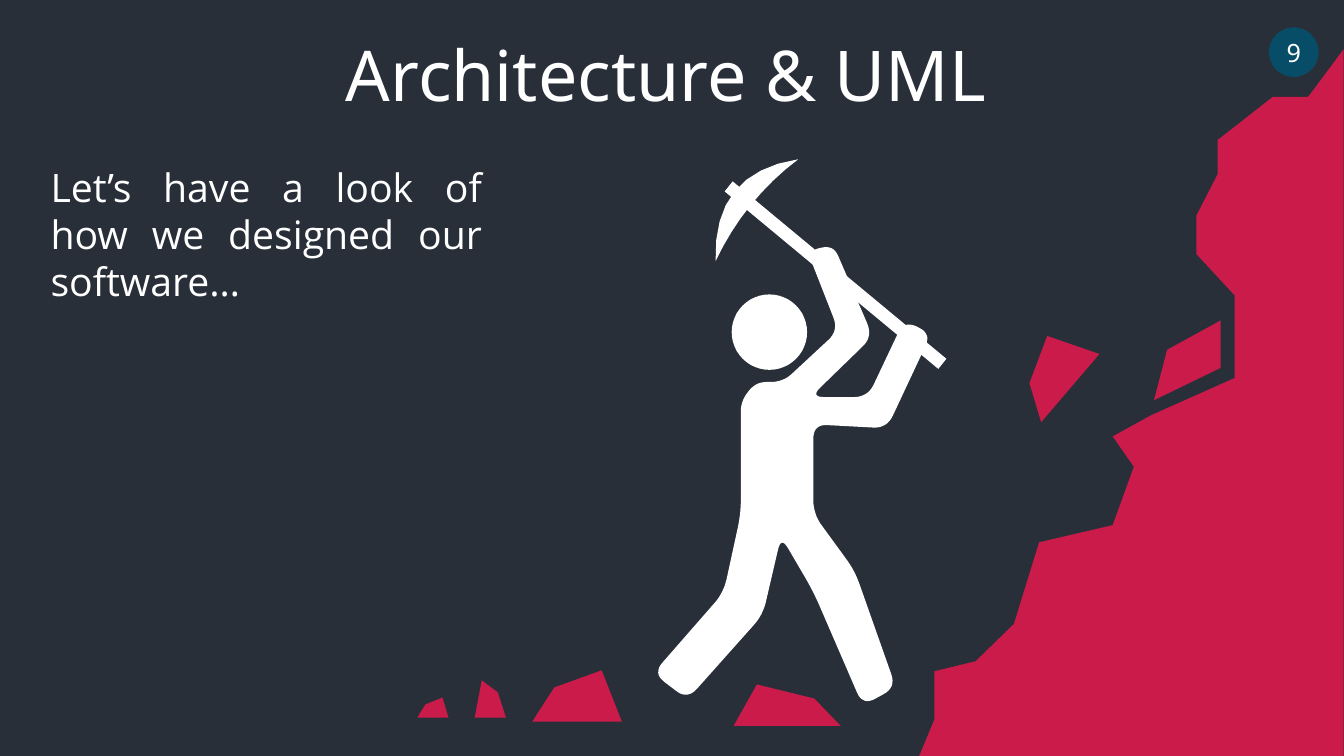
import pptx
import pptx.dml.color
import pptx.enum.shapes
import pptx.enum.text
import pptx.oxml
import pptx.oxml.ns
import pptx.util
import math
from pptx.util import Cm

MIDNIGHT, CRIMSON, TEAL, WHITE = "282F39", "CB1B4A", "074D67", "FFFFFF"


def rgb(color):
    return pptx.dml.color.RGBColor.from_string(color)


def bend(start, control, end, steps=8):
    return [tuple((1 - t) ** 2 * a + 2 * t * (1 - t) * b + t * t * c
                  for a, b, c in zip(start, control, end))
            for t in (step / steps for step in range(steps + 1))]


deck = pptx.Presentation()
deck.slide_width, deck.slide_height = Cm(33.87), Cm(19.05)
slide = deck.slides.add_slide(deck.slide_layouts[1])
slide.background.fill.solid()
slide.background.fill.fore_color.rgb = rgb(MIDNIGHT)

cliff = [(1263, 96), (1208, 139), (1208, 173), (1187, 214), (1187, 252),
         (1225, 293), (1225, 375), (1142, 412), (1104, 433), (1125, 463),
         (1104, 521), (1031, 538), (1006, 619), (968, 656), (927, 666),
         (927, 714), (912, 750), (1333, 750), (1333, 49), (1298, 96)]
boulder = [(550, 682), (597, 665), (617, 716), (528, 716)]
flying_boulder = [(x + 470, y - 322) for x, y in boulder]
rocks = [
    boulder,
    [(808, 693), (751, 679), (728, 720), (834, 720)],
    [(494, 687), (478, 675), (471, 712), (502, 712)],
    [(422, 699), (439, 692), (445, 712), (414, 712)],
    [(1211, 365), (1145, 397), (1158, 347), (1211, 318)],
]

joints = [(897, 318), (924, 331), (880, 425), (807, 421), (807, 510),
          (848, 566), (889, 682), (856, 700), (807, 587), (775, 532),
          (757, 610), (682, 694), (648, 668), (718, 588), (735, 510),
          (735, 398), (750, 379), (777, 379), (832, 328), (801, 249),
          (827, 243), (866, 334), (804, 394), (861, 394)]
body = []
for index, joint in enumerate(joints):
    neighbours = joints[index - 1], joints[(index + 1) % len(joints)]
    cut = min(14, *(0.45 * math.dist(joint, other) for other in neighbours))
    entry, leave = [
        tuple(a + (b - a) * cut / math.dist(joint, other)
              for a, b in zip(joint, other))
        for other in neighbours]
    body += bend(entry, joint, leave)

pick_handle = [(939, 356), (931, 366), (719, 190), (727, 180)]
blade_top, blade_bottom = (792, 158), (710, 259)
pick_blade = (bend(blade_top, (707, 171), blade_bottom)
              + bend(blade_bottom, (739, 198), blade_top)[1:-1])

miner = slide.shapes.add_group_shape().shapes
painted = []
for shapes, points, color, turn in [
    (slide.shapes, cliff, CRIMSON, 0),
    (miner, body, WHITE, 0),
    (miner, pick_handle, WHITE, 0),
    (miner, pick_blade, WHITE, 0),
    *((slide.shapes, rock, CRIMSON, 0) for rock in rocks),
    (slide.shapes, flying_boulder, CRIMSON, 310.5),
]:
    corners = [(round(10 * x), round(10 * y)) for x, y in points]
    builder = shapes.build_freeform(*corners[0], scale=Cm(2.54) / 1000)
    builder.add_line_segments(corners[1:], close=True)
    outline = builder.convert_to_shape()
    outline.rotation = turn
    painted.append((outline, color))

oval = pptx.enum.shapes.MSO_SHAPE.OVAL
head = miner.add_shape(oval, Cm(18.44), Cm(7.42), Cm(1.9), Cm(1.9))
page_badge = slide.shapes.add_shape(oval, Cm(31.98), Cm(0.69), Cm(1.25), Cm(1.25))
for part, color in painted + [(head, WHITE), (page_badge, TEAL)]:
    part.fill.solid()
    part.fill.fore_color.rgb = rgb(color)
    part.line.fill.background()
    part.shadow.inherit = False

heading, intro = slide.shapes.title, slide.placeholders[1]
heading.left, heading.top, heading.width, heading.height = (
    Cm(3.35), Cm(0.66), Cm(26.87), Cm(2.39))
intro.left, intro.top, intro.width, intro.height = (
    Cm(1.02), Cm(3.99), Cm(11.38), Cm(3.84))

center = pptx.enum.text.PP_ALIGN.CENTER
justify = pptx.enum.text.PP_ALIGN.JUSTIFY
middle = pptx.enum.text.MSO_ANCHOR.MIDDLE
top = pptx.enum.text.MSO_ANCHOR.TOP
for holder, wording, size, font_name, alignment, anchor in [
    (page_badge, "9", 18, "Noto Sans", center, middle),
    (heading, "Architecture & UML", 50, "Noto Sans", center, top),
    (intro, "Let’s have a look of how we designed our software…",
     28, "Open Sans", justify, top),
]:
    frame = holder.text_frame
    frame.word_wrap = holder is not page_badge
    frame.auto_size = pptx.enum.text.MSO_AUTO_SIZE.NONE
    frame.vertical_anchor = anchor
    paragraph = frame.paragraphs[0]
    paragraph.alignment = alignment
    paragraph.space_before = pptx.util.Pt(0)
    run = paragraph.add_run()
    run.text = wording
    run.font.size = pptx.util.Pt(size)
    run.font.name = font_name
    run.font.color.rgb = rgb(WHITE)

intro_format = intro.text_frame.paragraphs[0]._p.get_or_add_pPr()
intro_format.set("marL", "0")
intro_format.set("indent", "0")
intro_format.append(pptx.oxml.parse_xml(f'<a:buNone {pptx.oxml.ns.nsdecls("a")}/>'))

deck.save("out.pptx")
